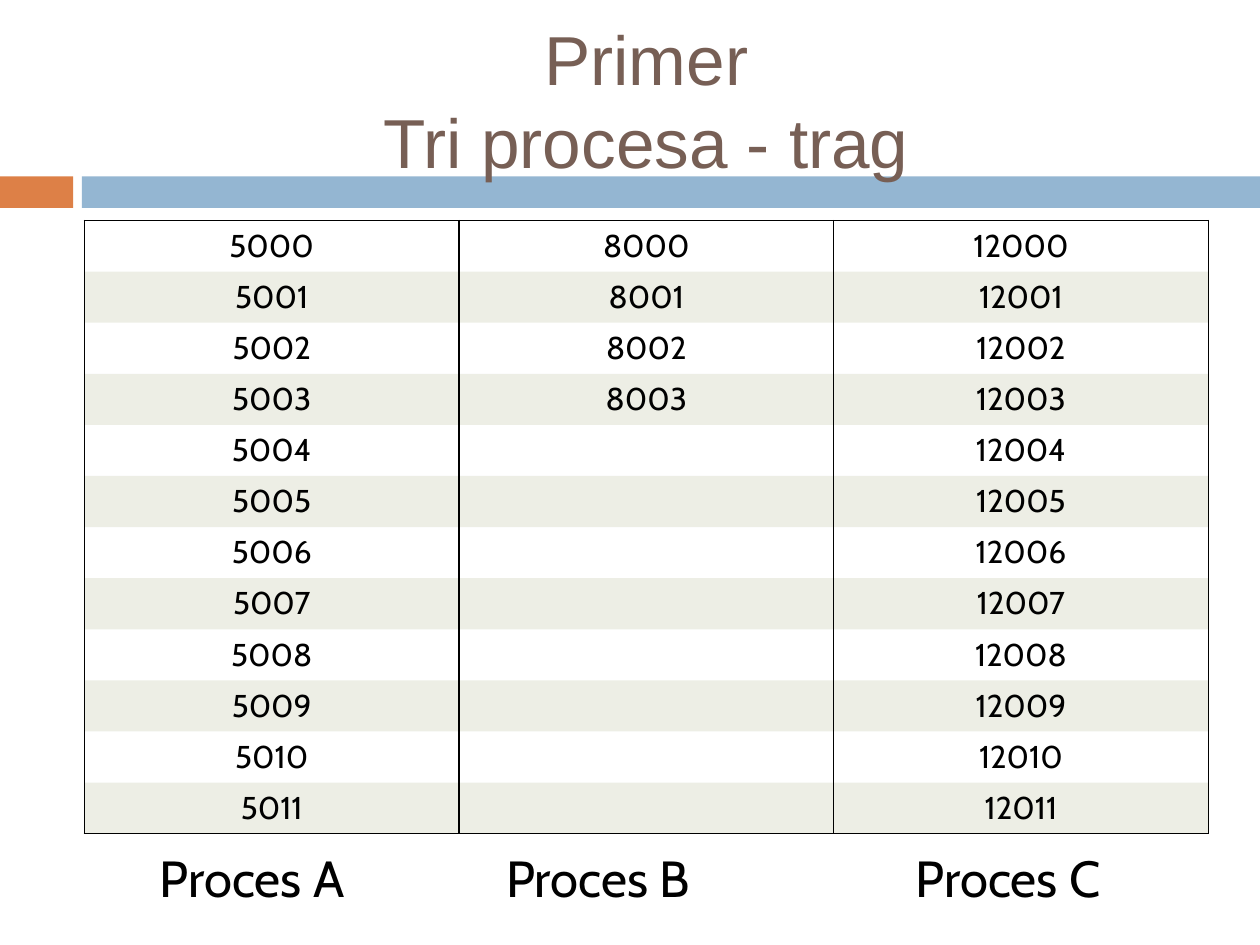
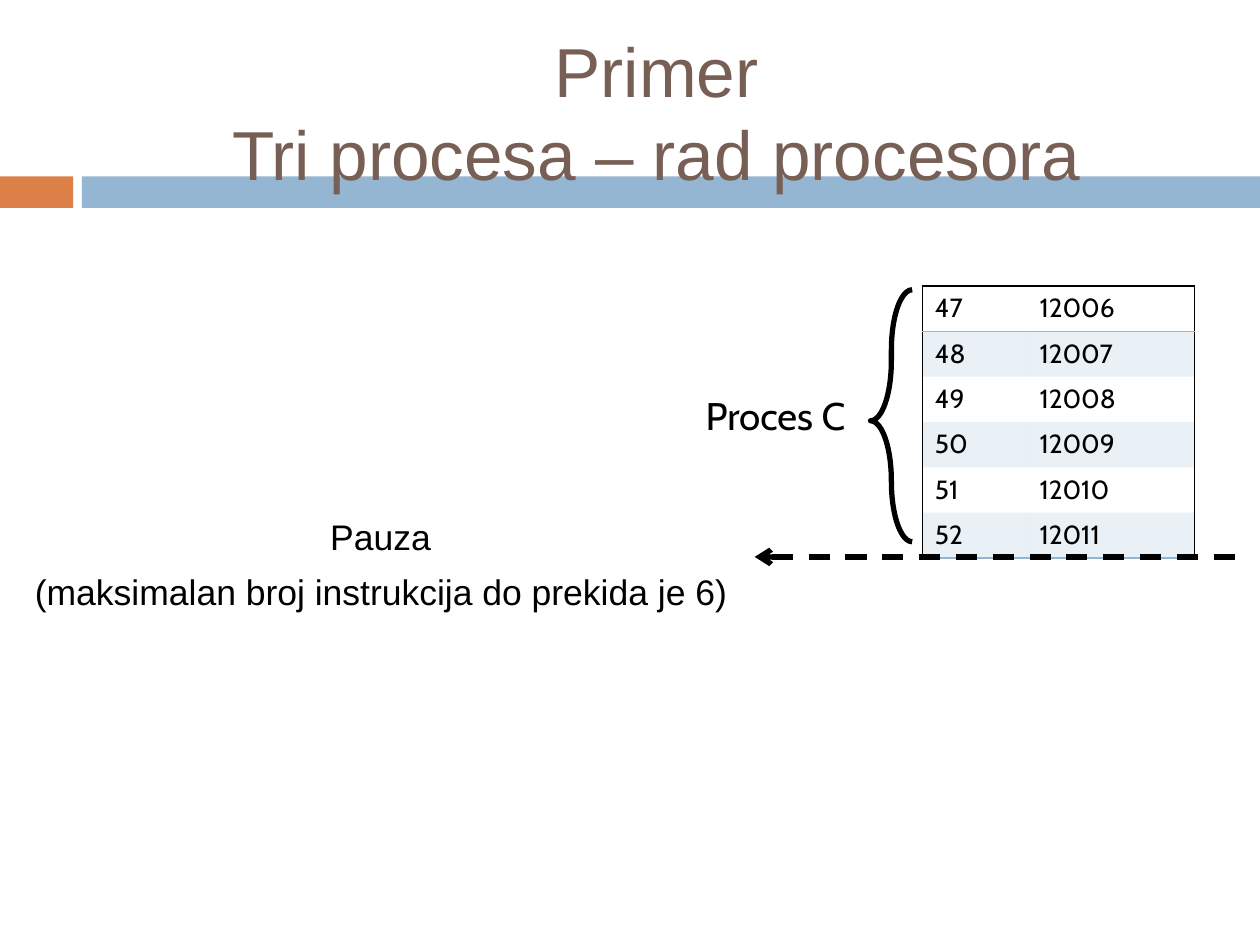
import pptx
import pptx.dml.color
import pptx.enum.dml
import pptx.enum.shapes
import pptx.enum.text
import pptx.oxml
import pptx.oxml.ns
import pptx.util
from lxml import etree

Inches = pptx.util.Inches
Pt = pptx.util.Pt
RGBColor = pptx.dml.color.RGBColor
Align = pptx.enum.text.PP_ALIGN
Shape = pptx.enum.shapes.MSO_SHAPE
qn = pptx.oxml.ns.qn

BLACK = RGBColor(0x00, 0x00, 0x00)
BROWN = RGBColor(0x77, 0x5F, 0x55)
ORANGE = RGBColor(0xDD, 0x80, 0x47)
BLUE = RGBColor(0x94, 0xB6, 0xD2)
OLIVE = RGBColor(0xA5, 0xAB, 0x81)
NO_STYLE = "{2D5ABB26-0587-4C30-8999-92F81FD0307C}"


def write_text(frame, text, size, font, color=BLACK, align=Align.LEFT):
    frame.word_wrap = True
    frame.text = text
    for para in frame.paragraphs:
        para.alignment = align
        for span in para.runs:
            span.font.size = Pt(size)
            span.font.name = font
            span.font.color.rgb = color


def add_banded_table(page, columns, area, size, align, band_color, borders_of):
    row_count = max(len(column) for column in columns)
    frame = page.shapes.add_table(row_count, len(columns), *map(Inches, area))
    frame.element.find(".//" + qn("a:tableStyleId")).text = NO_STYLE
    for col, column in enumerate(columns):
        for row in range(row_count):
            cell = frame.table.cell(row, col)
            if row < len(column):
                write_text(cell.text_frame, str(column[row]), size, "Cabin", align=align)
            properties = cell._tc.get_or_add_tcPr()
            borders = borders_of(row, col)
            for side in "LRTB":
                if side in borders:
                    line = etree.SubElement(properties, qn("a:ln" + side), w="12700")
                    paint = etree.SubElement(line, qn("a:solidFill"))
                    etree.SubElement(paint, qn("a:srgbClr"), val=str(borders[side]))
            if row % 2:
                cell.fill.solid()
                cell.fill.fore_color.rgb = band_color
                color = properties.find(qn("a:solidFill")).find(qn("a:srgbClr"))
                etree.SubElement(color, qn("a:alpha"), val="20000")
            else:
                cell.fill.background()
    return frame.table


deck = pptx.Presentation()
deck.slide_width = Inches(10)
deck.slide_height = Inches(7.5)
title_only = deck.slide_layouts[5]

pages = []
for text, left, top in [
    ("Primer\vTri procesa - trag", 0.67, 0.25),
    ("Primer\vTri procesa – rad procesora", 0.75, 0.34),
]:
    page = deck.slides.add_slide(title_only)
    title = page.shapes.title
    title.left, title.top = Inches(left), Inches(top)
    title.width, title.height = Inches(8.92), Inches(1.08)
    write_text(title.text_frame, text, 39.6, "Arial", BROWN, Align.CENTER)
    title.text_frame.vertical_anchor = pptx.enum.text.MSO_ANCHOR.MIDDLE
    title.text_frame.auto_size = pptx.enum.text.MSO_AUTO_SIZE.NONE
    pages.append(page)
trace_page, processor_page = pages

for left, width, color in [(0, 0.58, ORANGE), (0.65, 9.35, BLUE)]:
    band = trace_page.shapes.add_shape(
        Shape.RECTANGLE, Inches(left), Inches(1.4), Inches(width), Inches(0.25))
    band.shadow.inherit = False
    band.fill.solid()
    band.fill.fore_color.rgb = color
    band.line.fill.background()
    title_only.shapes.element.insert(2, band.element)


def trace_borders(row, col):
    borders = {"L": BLACK, "R": BLACK}
    if row == 0:
        borders["T"] = BLACK
    if row == 11:
        borders["B"] = BLACK
    return borders


add_banded_table(
    trace_page, [range(5000, 5012), range(8000, 8004), range(12000, 12012)],
    (0.67, 1.75, 8.92, 4.87), 18, Align.CENTER, OLIVE, trace_borders)

for name, left in [("A", 1.17), ("B", 3.92), ("C", 7.17)]:
    box = trace_page.shapes.add_textbox(
        Inches(left), Inches(6.67), Inches(1.91), Inches(0.67))
    write_text(box.text_frame, "Proces " + name, 29, "Cabin")

cycle_table = add_banded_table(
    processor_page, [range(47, 53), range(12006, 12012)],
    (7.32, 2.27, 2.16, 2.16), 15, Align.LEFT, BLUE,
    lambda row, col: {
        "LR"[col]: BLACK,
        **({"T": BLACK} if row == 0 else {}),
        **({"B": BLUE} if row in (0, 5) else {}),
    })
cycle_table.columns[0].width = Inches(0.83)
cycle_table.columns[1].width = Inches(1.33)

arrow = processor_page.shapes.add_connector(
    pptx.enum.shapes.MSO_CONNECTOR.STRAIGHT,
    Inches(5.99), Inches(4.42), Inches(9.82), Inches(4.42))
arrow.line.color.rgb = BLACK
arrow.line.width = Pt(3)
arrow.line.dash_style = pptx.enum.dml.MSO_LINE.DASH
arrow_properties = arrow.element.spPr
etree.SubElement(arrow_properties.find(qn("a:ln")), qn("a:headEnd"), type="arrow")
etree.SubElement(arrow_properties, qn("a:effectLst"))

pause_box = processor_page.shapes.add_textbox(
    Inches(0.17), Inches(4.04), Inches(5.7), Inches(1))
write_text(pause_box.text_frame, "Pauza\n(maksimalan broj instrukcija do prekida je 6)",
           20.3, "Arial", align=Align.CENTER)
limit = pause_box.text_frame.paragraphs[1]
limit.alignment = Align.RIGHT
limit.space_before = Pt(7)

process_box = processor_page.shapes.add_textbox(
    Inches(5.07), Inches(3.06), Inches(2.17), Inches(0.58))
write_text(process_box.text_frame, "Proces C", 22, "Cabin", align=Align.CENTER)

brace = processor_page.shapes.add_shape(
    Shape.LEFT_BRACE, Inches(6.91), Inches(2.3), Inches(0.33), Inches(2))
brace.shadow.inherit = False
brace.fill.background()
brace.line.color.rgb = BLACK
brace.line.width = Pt(3)
brace.adjustments[0] = 1.45
brace.adjustments[1] = 0.52

deck.save("out.pptx")
